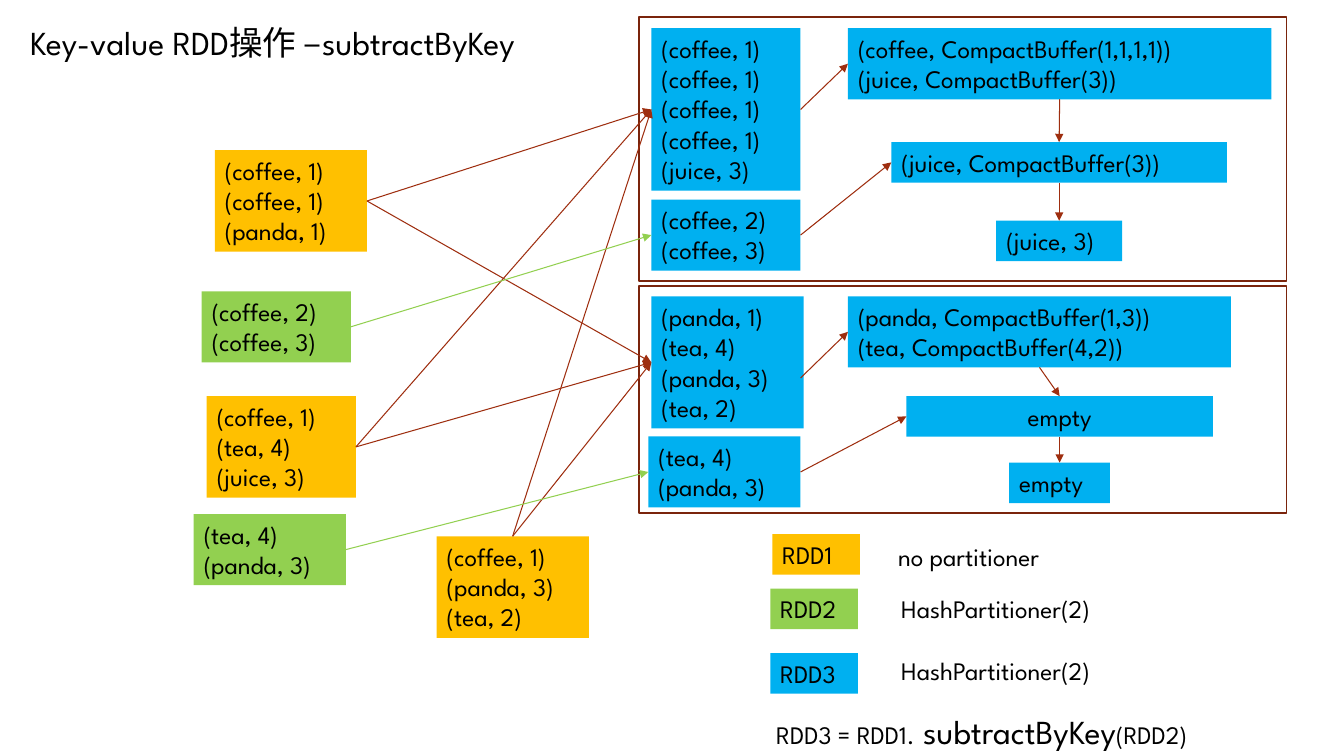
from lxml.etree import SubElement
from pptx import Presentation
from pptx.dml.color import RGBColor
from pptx.enum.shapes import MSO_CONNECTOR, MSO_SHAPE
from pptx.enum.text import MSO_ANCHOR, PP_ALIGN
from pptx.oxml.ns import qn
from pptx.util import Inches, Pt

FONT = "League Spartan"
BLACK = RGBColor(0x00, 0x00, 0x00)
ORANGE = RGBColor(0xFF, 0xC0, 0x00)
GREEN = RGBColor(0x92, 0xD0, 0x50)
BLUE = RGBColor(0x00, 0xB0, 0xF0)
RUST = RGBColor(0x9E, 0x2E, 0x0F)
DARK_RUST = RGBColor(0x7A, 0x24, 0x0C)

TOP, LEFT, BOTTOM, RIGHT = range(4)
LINE_HEIGHT = 0.3025
PADDING = 0.1


def write_text(frame, lines, size=18, align=PP_ALIGN.LEFT):
    """Fill a frame; a line is a string or a list of (text, size) runs."""
    frame.word_wrap = True
    frame.vertical_anchor = MSO_ANCHOR.TOP
    for index, line in enumerate(lines):
        paragraph = frame.paragraphs[0] if index == 0 else frame.add_paragraph()
        paragraph.alignment = align
        for text, run_size in [(line, size)] if isinstance(line, str) else line:
            run = paragraph.add_run()
            run.text = text
            run.font.name = FONT
            run.font.size = Pt(run_size)
            run.font.color.rgb = BLACK


def add_label(slide, left, top, width, height, line, **text_format):
    label = slide.shapes.add_textbox(
        Inches(left), Inches(top), Inches(width), Inches(height))
    write_text(label.text_frame, [line], **text_format)


def add_rectangle(slide, left, top, width, height):
    rectangle = slide.shapes.add_shape(
        MSO_SHAPE.RECTANGLE, Inches(left), Inches(top), Inches(width), Inches(height))
    rectangle.shadow.inherit = False
    return rectangle


def add_records(slide, color, left, top, width, *lines, **text_format):
    """Add a filled box as tall as its lines of records."""
    height = PADDING + LINE_HEIGHT * len(lines)
    box = add_rectangle(slide, left, top, width, height)
    box.fill.solid()
    box.fill.fore_color.rgb = color
    box.line.fill.background()
    write_text(box.text_frame, lines, **text_format)
    return box


def add_partition_frame(slide, top, height):
    frame = add_rectangle(slide, 6.34, top, 6.42, height)
    frame.fill.background()
    frame.line.color.rgb = DARK_RUST
    frame.line.width = Pt(1.25)


def add_arrow(slide, source, source_side, target, target_side, color=RUST, start=(0, 0)):
    """Join two boxes; with no source the arrow begins at the start point."""
    x, y = map(Inches, start)
    arrow = slide.shapes.add_connector(MSO_CONNECTOR.STRAIGHT, x, y, x, y)
    if source is not None:
        arrow.begin_connect(source, source_side)
    arrow.end_connect(target, target_side)
    arrow.line.color.rgb = color
    arrow.line.width = Pt(0.75)
    SubElement(arrow.get_or_add_ln(), qn("a:tailEnd"), type="triangle")
    SubElement(arrow.element.spPr, qn("a:effectLst"))


def add_legend(slide):
    rows = [
        ("RDD1", ORANGE, 7.66, 5.3, "no partitioner", 8.81, 5.32),
        ("RDD2", GREEN, 7.64, 5.84, "HashPartitioner(2)", 8.84, 5.84),
        ("RDD3", BLUE, 7.64, 6.48, "HashPartitioner(2)", 8.84, 6.45),
    ]
    for name, color, left, top, partitioner, label_left, label_top in rows:
        add_records(slide, color, left, top, 0.87, name)
        add_label(slide, label_left, label_top, 2.35, 0.4, partitioner)
    formula = [("RDD3 = RDD1.", 18), (" subtractByKey", 24), ("(RDD2)", 18)]
    add_label(slide, 7.6, 7, 5.16, 0.5, formula)


def main():
    presentation = Presentation()
    presentation.slide_width = Inches(13.33)
    presentation.slide_height = Inches(7.5)
    slide = presentation.slides.add_slide(presentation.slide_layouts[6])

    add_label(slide, 0.2, 0.17, 5.95, 0.5, "Key-value RDD操作 –subtractByKey", size=24)

    rdd1_first = add_records(
        slide, ORANGE, 2.13, 1.49, 1.51, "(coffee, 1)", "(coffee, 1)", "(panda, 1)")
    rdd1_second = add_records(
        slide, ORANGE, 2.05, 3.93, 1.48, "(coffee, 1)", "(tea, 4)", "(juice, 3)")
    rdd1_third = add_records(
        slide, ORANGE, 4.33, 5.32, 1.51, "(coffee, 1)", "(panda, 3)", "(tea, 2)")
    rdd2_coffee = add_records(slide, GREEN, 2, 2.89, 1.48, "(coffee, 2)", "(coffee, 3)")
    rdd2_tea = add_records(slide, GREEN, 1.92, 5.1, 1.51, "(tea, 4)", "(panda, 3)")

    add_partition_frame(slide, 0.17, 2.62)
    coffee_left = add_records(
        slide, BLUE, 6.46, 0.28, 1.48, *["(coffee, 1)"] * 4, "(juice, 3)")
    coffee_right = add_records(slide, BLUE, 6.46, 1.98, 1.48, "(coffee, 2)", "(coffee, 3)")
    coffee_grouped = add_records(
        slide, BLUE, 8.41, 0.28, 4.2,
        "(coffee, CompactBuffer(1,1,1,1))", "(juice, CompactBuffer(3))")
    juice_remaining = add_records(slide, BLUE, 8.84, 1.41, 3.33, "(juice, CompactBuffer(3))")
    juice_result = add_records(slide, BLUE, 9.88, 2.19, 1.25, "(juice, 3)")

    add_partition_frame(slide, 2.84, 2.25)
    tea_left = add_records(
        slide, BLUE, 6.46, 2.94, 1.51, "(panda, 1)", "(tea, 4)", "(panda, 3)", "(tea, 2)")
    tea_right = add_records(slide, BLUE, 6.43, 4.33, 1.51, "(tea, 4)", "(panda, 3)")
    tea_grouped = add_records(
        slide, BLUE, 8.41, 2.94, 3.8,
        "(panda, CompactBuffer(1,3))", "(tea, CompactBuffer(4,2))")
    empty_remaining = add_records(
        slide, BLUE, 8.99, 3.93, 3.04, "empty", align=PP_ALIGN.CENTER)
    empty_result = add_records(slide, BLUE, 10.01, 4.59, 1, "empty")

    for source, side in [(rdd1_first, RIGHT), (rdd1_second, RIGHT), (rdd1_third, TOP)]:
        for target in (coffee_left, tea_left):
            add_arrow(slide, source, side, target, LEFT)
    add_arrow(slide, rdd2_coffee, RIGHT, coffee_right, LEFT, GREEN)
    add_arrow(slide, rdd2_tea, RIGHT, tea_right, LEFT, GREEN)

    add_arrow(slide, coffee_left, RIGHT, coffee_grouped, LEFT)
    add_arrow(slide, None, None, tea_grouped, LEFT, start=(7.94, 3.75))
    for subtracted, grouped, remaining, result in [
        (coffee_right, coffee_grouped, juice_remaining, juice_result),
        (tea_right, tea_grouped, empty_remaining, empty_result),
    ]:
        add_arrow(slide, subtracted, RIGHT, remaining, LEFT)
        add_arrow(slide, grouped, BOTTOM, remaining, TOP)
        add_arrow(slide, remaining, BOTTOM, result, TOP)

    add_legend(slide)
    presentation.save("out.pptx")


if __name__ == "__main__":
    main()
